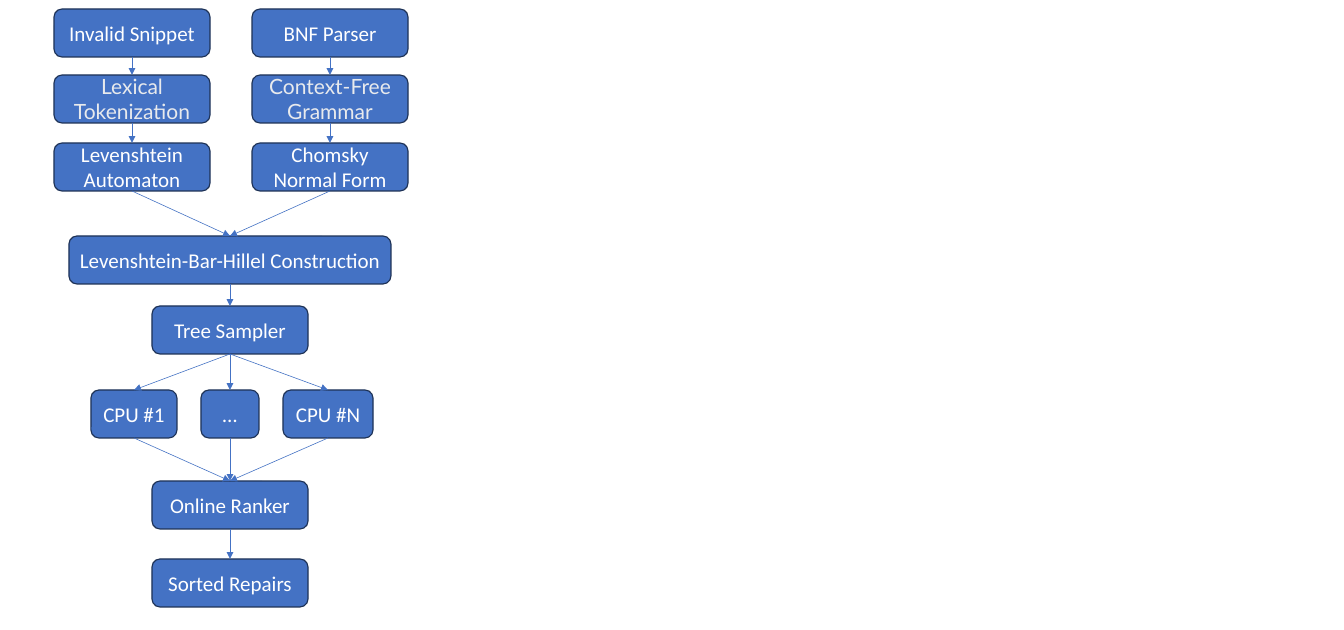
from pptx import Presentation
from pptx.dml.color import RGBColor
from pptx.enum.shapes import MSO_CONNECTOR, MSO_SHAPE
from pptx.enum.text import MSO_ANCHOR, PP_ALIGN
from pptx.oxml.ns import qn
from pptx.util import Emu, Pt
from lxml import etree

ROUNDED = MSO_SHAPE.ROUNDED_RECTANGLE
STRAIGHT = MSO_CONNECTOR.STRAIGHT
MIDDLE = MSO_ANCHOR.MIDDLE
CENTER = PP_ALIGN.CENTER

BLUE = RGBColor(0x44, 0x72, 0xC4)
NAVY = RGBColor(0x1E, 0x32, 0x56)
WHITE = RGBColor(0xFF, 0xFF, 0xFF)
PALE = RGBColor(0xE8, 0xEA, 0xED)

EMU_PER_PX = 914400 // 84
BOX_HEIGHT = 48
BOX_WIDTH = 156
LEFT, MAIN, RIGHT = 132, 230, 330
CPU_FIRST, CPU_LAST = 134, 328
LATO = {"font": "Lato", "color": PALE}

STEPS = [
    ("Invalid Snippet", LEFT, 9, BOX_WIDTH, {}),
    ("Lexical Tokenization", LEFT, 75, BOX_WIDTH, LATO),
    ("Levenshtein Automaton", LEFT, 143, BOX_WIDTH, {}),
    ("BNF Parser", RIGHT, 9, BOX_WIDTH, {}),
    ("Context-Free Grammar", RIGHT, 75, BOX_WIDTH, LATO),
    ("Chomsky Normal Form", RIGHT, 143, BOX_WIDTH, {}),
    ("Levenshtein-Bar-Hillel Construction", MAIN, 236, 322, {}),
    ("Tree Sampler", MAIN, 306, BOX_WIDTH, {}),
    ("CPU #1", CPU_FIRST, 390, 86, {}),
    ("…", MAIN, 390, 58, {}),
    ("CPU #N", CPU_LAST, 390, 90, {}),
    ("Online Ranker", MAIN, 481, BOX_WIDTH, {}),
    ("Sorted Repairs", MAIN, 559, BOX_WIDTH, {}),
]

FLOWS = [
    ("Invalid Snippet", "Lexical Tokenization", "Levenshtein Automaton",
     "Levenshtein-Bar-Hillel Construction"),
    ("BNF Parser", "Context-Free Grammar", "Chomsky Normal Form",
     "Levenshtein-Bar-Hillel Construction"),
    ("Levenshtein-Bar-Hillel Construction", "Tree Sampler"),
    ("Tree Sampler", "CPU #1", "Online Ranker"),
    ("Tree Sampler", "…", "Online Ranker"),
    ("Tree Sampler", "CPU #N", "Online Ranker"),
    ("Online Ranker", "Sorted Repairs"),
]


def px(length):
    """Convert whole pixels to EMU."""
    return Emu(length * EMU_PER_PX)


def write_text(shape, text, font="Calibri", size=18, color=WHITE):
    """Write one centred paragraph into a shape."""
    frame = shape.text_frame
    frame.word_wrap = True
    frame.vertical_anchor = MIDDLE
    paragraph = frame.paragraphs[0]
    paragraph.alignment = CENTER
    run = paragraph.add_run()
    run.text = text
    run.font.name = font
    run.font.size = Pt(size)
    run.font.color.rgb = color


def add_step(slide, text, center, top, width, text_format):
    """Add a rounded step box centred on a column."""
    shape = slide.shapes.add_shape(
        ROUNDED, px(center - width // 2), px(top), px(width), px(BOX_HEIGHT))
    shape.shadow.inherit = False
    shape.fill.solid()
    shape.fill.fore_color.rgb = BLUE
    shape.line.color.rgb = NAVY
    shape.line.width = Pt(1)
    write_text(shape, text, **text_format)
    return shape


def add_arrow(slide, source, target):
    """Join the bottom of one step to the top of the next."""
    connector = slide.shapes.add_connector(STRAIGHT, 0, 0, 0, 0)
    connector.begin_connect(source, 2)
    connector.end_connect(target, 0)
    connector.line.color.rgb = BLUE
    connector.line.width = Pt(0.5)
    properties = connector.element.spPr
    etree.SubElement(properties.find(qn("a:ln")), qn("a:tailEnd"), type="triangle")
    etree.SubElement(properties, qn("a:effectLst"))


def main():
    """Build the repair pipeline slide."""
    presentation = Presentation()
    presentation.slide_width = px(16 * 84)
    presentation.slide_height = px(630)
    slide = presentation.slides.add_slide(presentation.slide_layouts[6])
    steps = {step[0]: add_step(slide, *step) for step in STEPS}
    for flow in FLOWS:
        for source, target in zip(flow, flow[1:]):
            add_arrow(slide, steps[source], steps[target])
    presentation.save("out.pptx")


if __name__ == "__main__":
    main()
